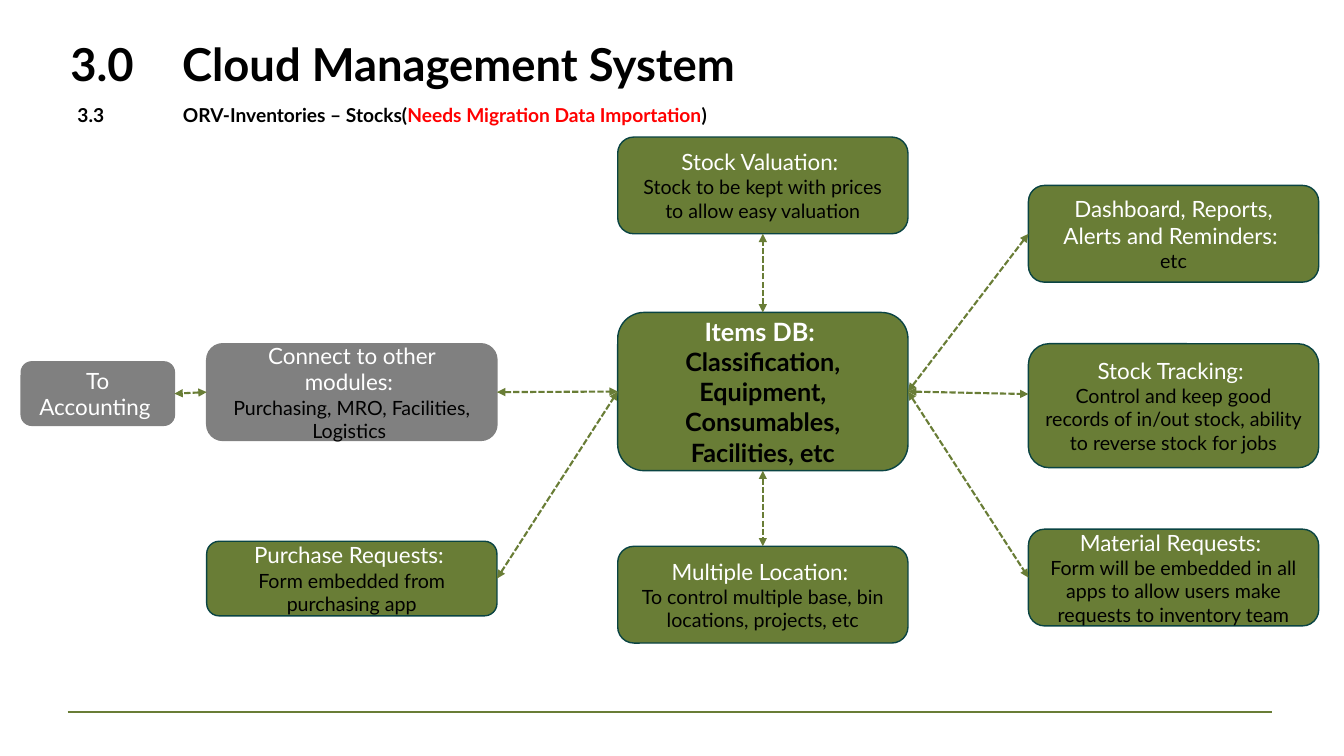
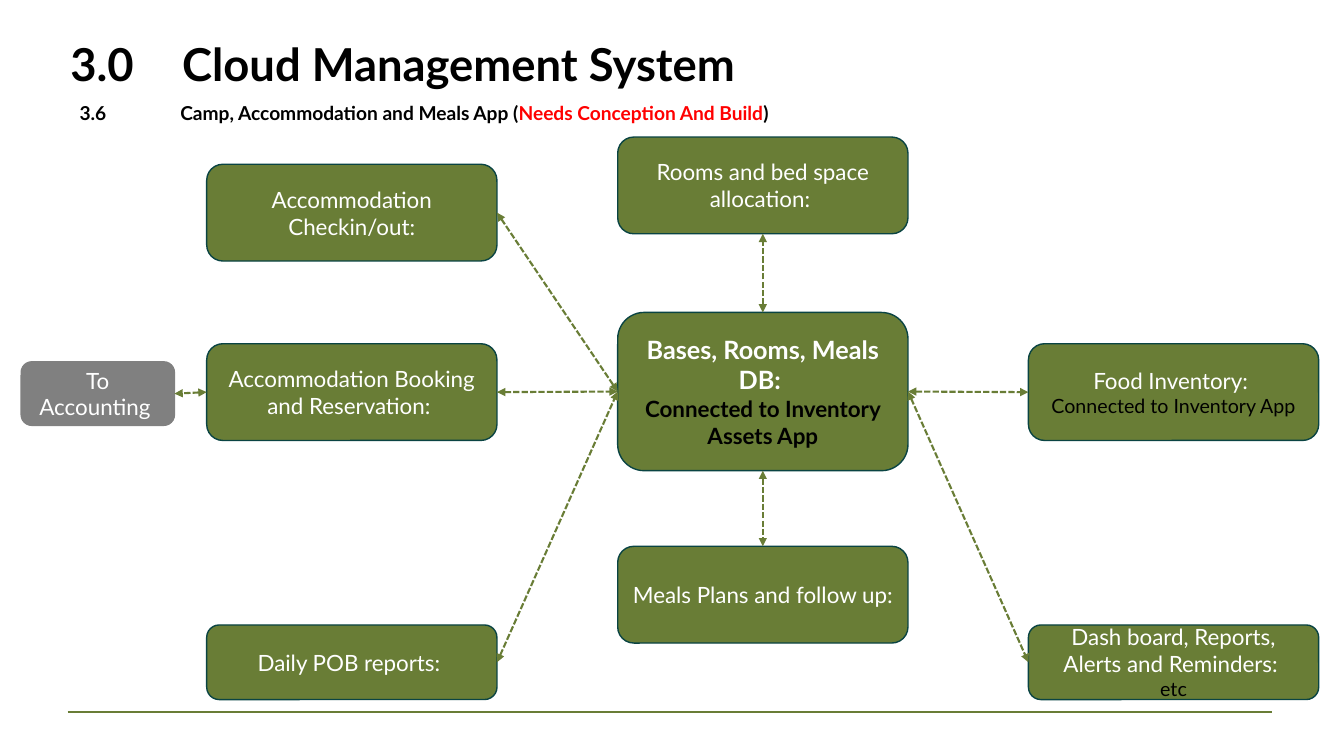
"""Build two hub-and-spoke slides describing the cloud management system."""
from dataclasses import dataclass

from lxml import etree
from pptx import Presentation
from pptx import util as u
from pptx.dml.color import RGBColor
from pptx.enum import dml, shapes, text
from pptx.oxml.ns import qn

TOP, LEFT, BOTTOM, RIGHT = range(4)


@dataclass(frozen=True)
class Theme:
    font: str = "Lato"
    black: str = "000000"
    white: str = "FFFFFF"
    red: str = "FF0000"
    green: str = "697D36"
    edge: str = "0A4443"
    grey: str = "808080"
    title: float = 32.4
    subtitle: float = 13.7
    hub: float = 18
    heading: float = 16
    detail: float = 14


THEME = Theme()
COLUMNS = {
    "outer": (1.58, 11.4),
    "left": (15.38, 21.6),
    "middle": (45.96, 21.6),
    "right": (76.52, 21.6),
}
TALL, NORMAL, SHORT = 20.93, 12.8, 9.87
ABOVE, CENTRE, BELOW, FOOT = 18.13, 45.47, 72.27, 82.67
RULE = 94.17


class Deck:
    def __init__(self, theme):
        self.theme = theme
        self.deck = Presentation()
        self.deck.slide_width = u.Inches(13.33)
        self.deck.slide_height = u.Inches(7.5)
        self.slide = None

    def x(self, percent):
        return round(self.deck.slide_width * percent / 100)

    def y(self, percent):
        return round(self.deck.slide_height * percent / 100)

    def area(self, left, top, width, height):
        return self.x(left), self.y(top), self.x(width), self.y(height)

    def style(self, paragraph, size, bold=False, color=None):
        font = paragraph.font
        font.name, font.size, font.bold = self.theme.font, u.Pt(size), bold
        if color:
            font.color.rgb = RGBColor.from_string(color)

    def label(self, area, parts, size, anchor):
        frame = self.slide.shapes.add_textbox(*self.area(*area)).text_frame
        frame.word_wrap = True
        frame.vertical_anchor = anchor
        line = frame.paragraphs[0]
        line.line_spacing = 0.9
        stops = etree.SubElement(line._p.get_or_add_pPr(), qn("a:tabLst"))
        etree.SubElement(stops, qn("a:tab"), pos=str(u.Inches(1)), algn="l")
        self.style(line, size, True)
        for words, color in parts:
            run = line.add_run()
            run.text = words
            run.font.color.rgb = RGBColor.from_string(color)

    def new_slide(self, subtitle, status, left, top):
        t = self.theme
        self.slide = self.deck.slides.add_slide(self.deck.slide_layouts[6])
        self.label((4.5, 4.67, 87.4, 8.4), [("3.0 \t Cloud Management System", t.black)],
                   t.title, text.MSO_ANCHOR.MIDDLE)
        self.label((left, top, 62, 5.07),
                   [(subtitle, t.black), (status, t.red), (")", t.black)],
                   t.subtitle, text.MSO_ANCHOR.TOP)
        self.line((self.x(5.03), self.y(RULE)), (self.x(94.67), self.y(RULE)), 2)

    def line(self, start, end, width):
        rule = self.slide.shapes.add_connector(shapes.MSO_CONNECTOR.STRAIGHT, *start, *end)
        rule.line.color.rgb = RGBColor.from_string(self.theme.green)
        rule.line.width = u.Pt(width)
        etree.SubElement(rule._element.spPr, qn("a:effectLst"))
        return rule

    def box(self, column, top, height, heading, detail="", fill=None, hub_detail=None):
        t = self.theme
        left, width = COLUMNS[column]
        card = self.slide.shapes.add_shape(
            shapes.MSO_SHAPE.ROUNDED_RECTANGLE, *self.area(left, top, width, height))
        card.shadow.inherit = False
        card.fill.solid()
        card.fill.fore_color.rgb = RGBColor.from_string(fill or t.green)
        card.line.color.rgb = RGBColor.from_string(fill or t.edge)
        card.line.width = u.Pt(1)
        frame = card.text_frame
        frame.word_wrap = True
        frame.vertical_anchor = text.MSO_ANCHOR.MIDDLE
        is_hub = hub_detail is not None
        lines = [(heading, t.hub if is_hub else t.heading, t.white)]
        if detail:
            lines.append((detail, hub_detail or t.detail, t.black))
        for index, (words, size, color) in enumerate(lines):
            paragraph = frame.add_paragraph() if index else frame.paragraphs[0]
            paragraph.alignment = text.PP_ALIGN.CENTER
            paragraph.add_run().text = words
            self.style(paragraph, size, is_hub, color)
        return card

    def link(self, source, source_side, target, target_side, target_y=None):
        start = (source.left, source.top)
        end = (target.left, self.y(target_y or 0))
        arrow = self.line(start, end, 1.5)
        arrow.line.dash_style = dml.MSO_LINE.SQUARE_DOT
        for tip in ("a:headEnd", "a:tailEnd"):
            etree.SubElement(arrow.line._get_or_add_ln(), qn(tip), type="triangle")
        arrow.begin_connect(source, source_side)
        if target_y is None:
            arrow.end_connect(target, target_side)

    def accounting(self, neighbour):
        ledger = self.box("outer", 47.87, 8.4, "To Accounting ", fill=self.theme.grey)
        self.link(neighbour, LEFT, ledger, RIGHT)

    def spokes(self, hub, above, below, lefts, rights):
        self.link(hub, TOP, above, BOTTOM)
        self.link(hub, BOTTOM, below, TOP)
        for spoke in lefts:
            self.link(spoke, RIGHT, hub, LEFT)
        for spoke in rights:
            self.link(hub, RIGHT, spoke, LEFT)


def stocks(deck):
    deck.new_slide("3.3\t ORV-Inventories – Stocks(", "Needs Migration Data Importation", 5.03, 13.33)
    items = deck.box("middle", 41.33, TALL, "Items DB: ",
                     "Classification, Equipment, Consumables, Facilities, etc",
                     hub_detail=THEME.hub)
    valuation = deck.box("middle", ABOVE, NORMAL, "Stock Valuation: ",
                         "Stock to be kept with prices to allow easy valuation")
    dashboard = deck.box("right", 24.53, NORMAL, "Dashboard, Reports, Alerts and Reminders: ", "etc")
    tracking = deck.box("right", CENTRE, 16.4, "Stock Tracking: ",
                        "Control and keep good records of in/out stock, ability to reverse stock for jobs")
    modules = deck.box("left", CENTRE, NORMAL, "Connect to other modules: ",
                       "Purchasing, MRO, Facilities, Logistics ", fill=THEME.grey)
    locations = deck.box("middle", BELOW, NORMAL, "Multiple Location: ",
                         "To control multiple base, bin locations, projects, etc")
    materials = deck.box("right", 70, NORMAL, "Material Requests: ",
                         "Form will be embedded in all apps to allow users make requests to inventory team")
    purchases = deck.box("left", 71.6, SHORT, "Purchase Requests: ",
                         "Form embedded from purchasing app")
    deck.accounting(modules)
    deck.spokes(items, valuation, locations, [modules, purchases], [dashboard, materials])
    deck.link(items, RIGHT, tracking, LEFT, target_y=52.13)


def camp(deck):
    deck.new_slide("3.6\tCamp, Accommodation and Meals App (", "Needs Conception And Build", 5.18, 13.07)
    bases = deck.box("middle", 41.33, TALL, "Bases, Rooms, Meals DB: ",
                     "Connected to Inventory Assets App", hub_detail=THEME.heading)
    checkin = deck.box("left", 21.73, NORMAL, "Accommodation Checkin/out:")
    rooms = deck.box("middle", ABOVE, NORMAL, "Rooms and bed space allocation: ")
    meals = deck.box("middle", BELOW, NORMAL, "Meals Plans and follow up: ")
    food = deck.box("right", CENTRE, NORMAL, "Food Inventory: ", "Connected to Inventory App")
    booking = deck.box("left", CENTRE, NORMAL, "Accommodation Booking and Reservation: ")
    dashboard = deck.box("right", FOOT, SHORT, "Dash board, Reports, Alerts and Reminders: ", "etc")
    reports = deck.box("left", FOOT, SHORT, "Daily POB reports: ")
    deck.accounting(booking)
    deck.spokes(bases, rooms, meals, [checkin, booking, reports], [food, dashboard])


def main():
    deck = Deck(THEME)
    stocks(deck)
    camp(deck)
    deck.deck.save("out.pptx")


if __name__ == "__main__":
    main()
